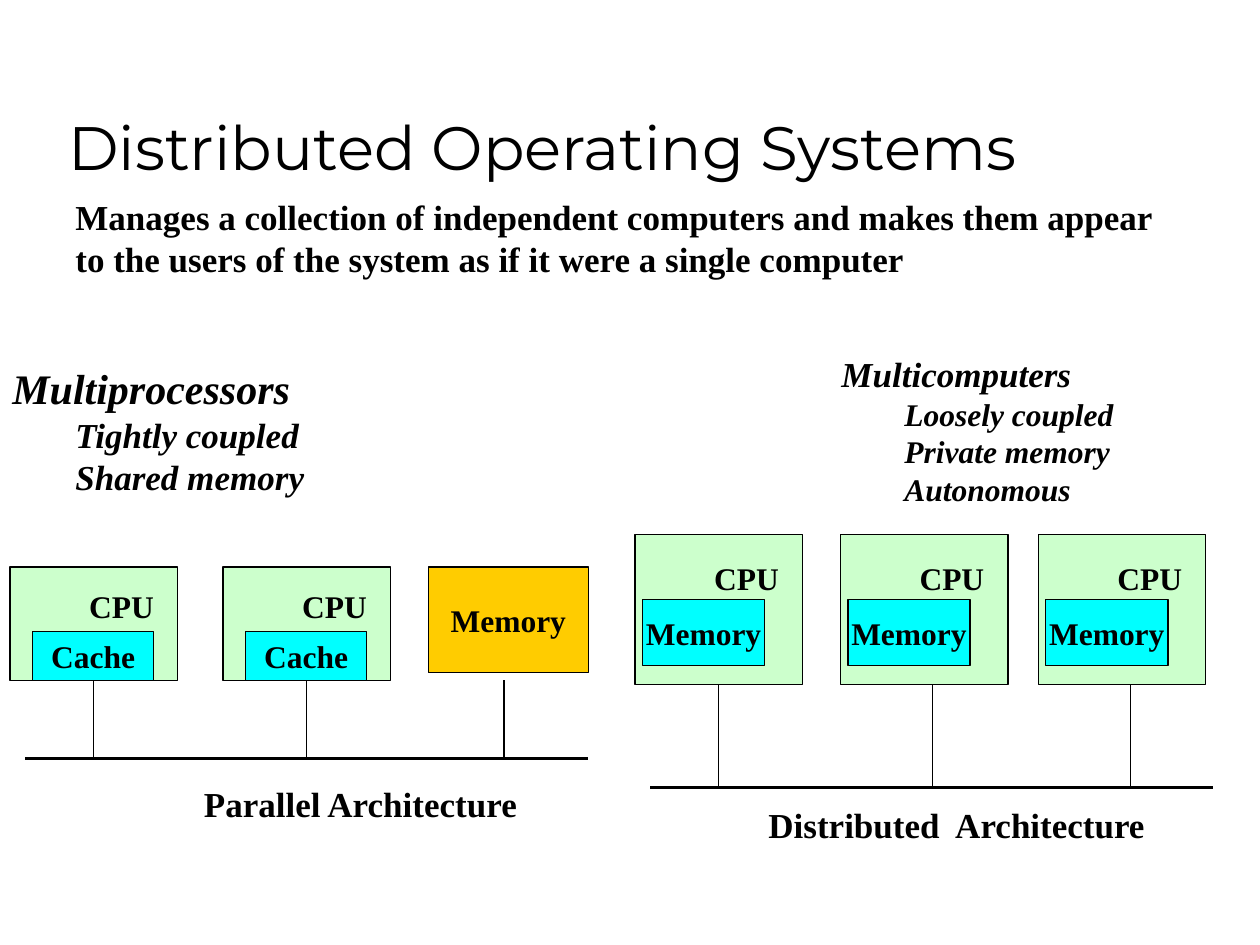
from dataclasses import dataclass
from typing import Any, Optional

import pptx
import pptx.dml.color
import pptx.enum.shapes
import pptx.enum.text
import pptx.oxml.ns
import pptx.util
from lxml import etree

Inches = pptx.util.Inches
Anchor = pptx.enum.text.MSO_ANCHOR
Align = pptx.enum.text.PP_ALIGN
AutoSize = pptx.enum.text.MSO_AUTO_SIZE


@dataclass(frozen=True)
class Theme:
    ink: str = "000000"
    cpu: str = "CCFFCC"
    inner: str = "00FFFF"
    memory: str = "FFCC00"
    title_font: str = "Montserrat"
    body_font: str = "Times New Roman"
    title: float = 35
    heading: float = 24
    body: float = 20
    label: float = 18
    thin: float = 0.75
    thick: float = 2.25


THEME = Theme()


@dataclass(frozen=True)
class Box:
    x: float
    y: float
    w: float
    h: float

    def inside(self, part: "Box") -> "Box":
        return Box(self.x + part.x, self.y + part.y, part.w, part.h)

    def lengths(self) -> tuple:
        return tuple(Inches(v) for v in (self.x, self.y, self.w, self.h))


@dataclass(frozen=True)
class Architecture:
    caption: str
    caption_box: Box
    bus: tuple[float, float, float]
    cpus: tuple[Box, ...]
    inner_text: str
    inner: Box
    cpu_label: Box
    drops: tuple[float, ...]
    memory: Optional[Box] = None


@dataclass(frozen=True)
class Summary:
    box: Box
    heading: str
    points: tuple[str, ...]
    heading_size: float
    point_size: float


def rgb(color: str) -> pptx.dml.color.RGBColor:
    return pptx.dml.color.RGBColor.from_string(color)


def write(tf: Any, text: str, *, size: float, font: str = THEME.body_font,
          bold: bool = True, italic: bool = False, align: Any = Align.LEFT,
          level: int = 0, new: bool = False) -> None:
    p = tf.add_paragraph() if new else tf.paragraphs[0]
    p.alignment = align
    p.level = level
    if level:
        p._p.get_or_add_pPr().set("marL", str(Inches(0.5 * level)))
    r = p.add_run()
    r.text = text
    r.font.size = pptx.util.Pt(size)
    r.font.name = font
    r.font.bold = bold
    r.font.italic = italic
    r.font.color.rgb = rgb(THEME.ink)


def text_box(shapes: Any, box: Box, wrap: bool = False) -> Any:
    tf = shapes.add_textbox(*box.lengths()).text_frame
    tf.word_wrap = wrap
    tf.auto_size = AutoSize.SHAPE_TO_FIT_TEXT
    return tf


def rect(shapes: Any, box: Box, fill: str, text: str = "") -> Any:
    sp = shapes.add_shape(pptx.enum.shapes.MSO_SHAPE.RECTANGLE, *box.lengths())
    sp.shadow.inherit = False
    sp.fill.solid()
    sp.fill.fore_color.rgb = rgb(fill)
    sp.line.color.rgb = rgb(THEME.ink)
    sp.line.width = pptx.util.Pt(THEME.thin)
    if text:
        tf = sp.text_frame
        tf.word_wrap = False
        tf.vertical_anchor = Anchor.MIDDLE
        write(tf, text, size=THEME.label, align=Align.CENTER)
    return sp


def line(shapes: Any, x1: float, y1: float, x2: float, y2: float,
         width: float) -> Any:
    cxn = shapes.add_connector(
        pptx.enum.shapes.MSO_CONNECTOR.STRAIGHT,
        *(Inches(v) for v in (x1, y1, x2, y2)))
    cxn.line.color.rgb = rgb(THEME.ink)
    cxn.line.width = pptx.util.Pt(width)
    etree.SubElement(cxn._element.spPr, pptx.oxml.ns.qn("a:effectLst"))
    return cxn


def draw_architecture(s: Any, arch: Architecture) -> None:
    shapes = s.shapes.add_group_shape().shapes
    left, right, bus_y = arch.bus
    line(shapes, left, bus_y, right, bus_y, THEME.thick)
    nodes = []
    for cpu in arch.cpus:
        nodes.append(rect(shapes, cpu, THEME.cpu))
        rect(shapes, cpu.inside(arch.inner), THEME.inner, arch.inner_text)
        write(text_box(shapes, cpu.inside(arch.cpu_label)), "CPU",
              size=THEME.label)
    if arch.memory:
        rect(shapes, arch.memory, THEME.memory, "Memory")
    top = arch.cpus[0].y + arch.cpus[0].h
    for x in arch.drops:
        cxn = line(shapes, x, top, x, bus_y, THEME.thin)
        for cpu, node in zip(arch.cpus, nodes):
            middle = cpu.x + cpu.w / 2
            if abs(middle - x) < 0.01:
                cxn.begin_connect(node, 2)
                cxn.end_x = cxn.begin_x
    write(text_box(shapes, arch.caption_box), arch.caption, size=THEME.body)


def draw_summary(s: Any, summary: Summary) -> None:
    tf = text_box(s.shapes, summary.box, wrap=True)
    write(tf, summary.heading, size=summary.heading_size, italic=True)
    for point in summary.points:
        write(tf, point, size=summary.point_size, italic=True, level=1, new=True)


def draw_title(s: Any, text: str, box: Box) -> None:
    sp = s.shapes.title
    sp.left, sp.top, sp.width, sp.height = box.lengths()
    tf = sp.text_frame
    tf.auto_size = AutoSize.NONE
    tf.word_wrap = True
    tf.vertical_anchor = Anchor.BOTTOM
    tf.margin_left = tf.margin_right = Inches(0.1)
    tf.margin_top = tf.margin_bottom = Inches(0.05)
    write(tf, text, size=THEME.title, font=THEME.title_font, bold=False)


PARALLEL = Architecture(
    "Parallel Architecture", Box(1.52, 6.16, 2.71, 0.44), (0.2, 4.67, 6.02),
    tuple(Box(x, 4.5, 1.33, 0.9) for x in (0.08, 1.77)),
    "Cache", Box(0.18, 0.51, 0.96, 0.39), Box(0.53, 0.11, 0.73, 0.4),
    (0.75, 2.44, 4), Box(3.4, 4.5, 1.27, 0.84))
DISTRIBUTED = Architecture(
    "Distributed  Architecture", Box(6, 6.33, 3.21, 0.44), (5.16, 9.63, 6.25),
    tuple(Box(x, 4.24, 1.33, 1.19) for x in (5.04, 6.67, 8.24)),
    "Memory", Box(0.06, 0.52, 0.97, 0.52), Box(0.53, 0.15, 0.73, 0.4),
    (5.7, 7.4, 8.97))
SUMMARIES = (
    Summary(Box(0, 2.83, 3, 1.17), "Multiprocessors",
            ("Tightly coupled", "Shared memory"), THEME.heading, THEME.body),
    Summary(Box(6.58, 2.75, 2.92, 1.34), "Multicomputers",
            ("Loosely coupled", "Private memory", "Autonomous"),
            THEME.body, THEME.label),
)


def main() -> None:
    prs = pptx.Presentation()
    prs.slide_width, prs.slide_height = Inches(10), Inches(7.5)
    s = prs.slides.add_slide(prs.slide_layouts[5])
    draw_title(s, "Distributed Operating Systems", Box(0.44, 0.25, 8.5, 1.25))
    write(text_box(s.shapes, Box(0.5, 1.5, 8.83, 0.77), wrap=True),
          "Manages a collection of independent computers and makes them appear "
          "to the users of the system as if it were a single computer",
          size=THEME.body)
    for arch in (PARALLEL, DISTRIBUTED):
        draw_architecture(s, arch)
    for summary in SUMMARIES:
        draw_summary(s, summary)
    prs.save("out.pptx")


if __name__ == "__main__":
    main()
